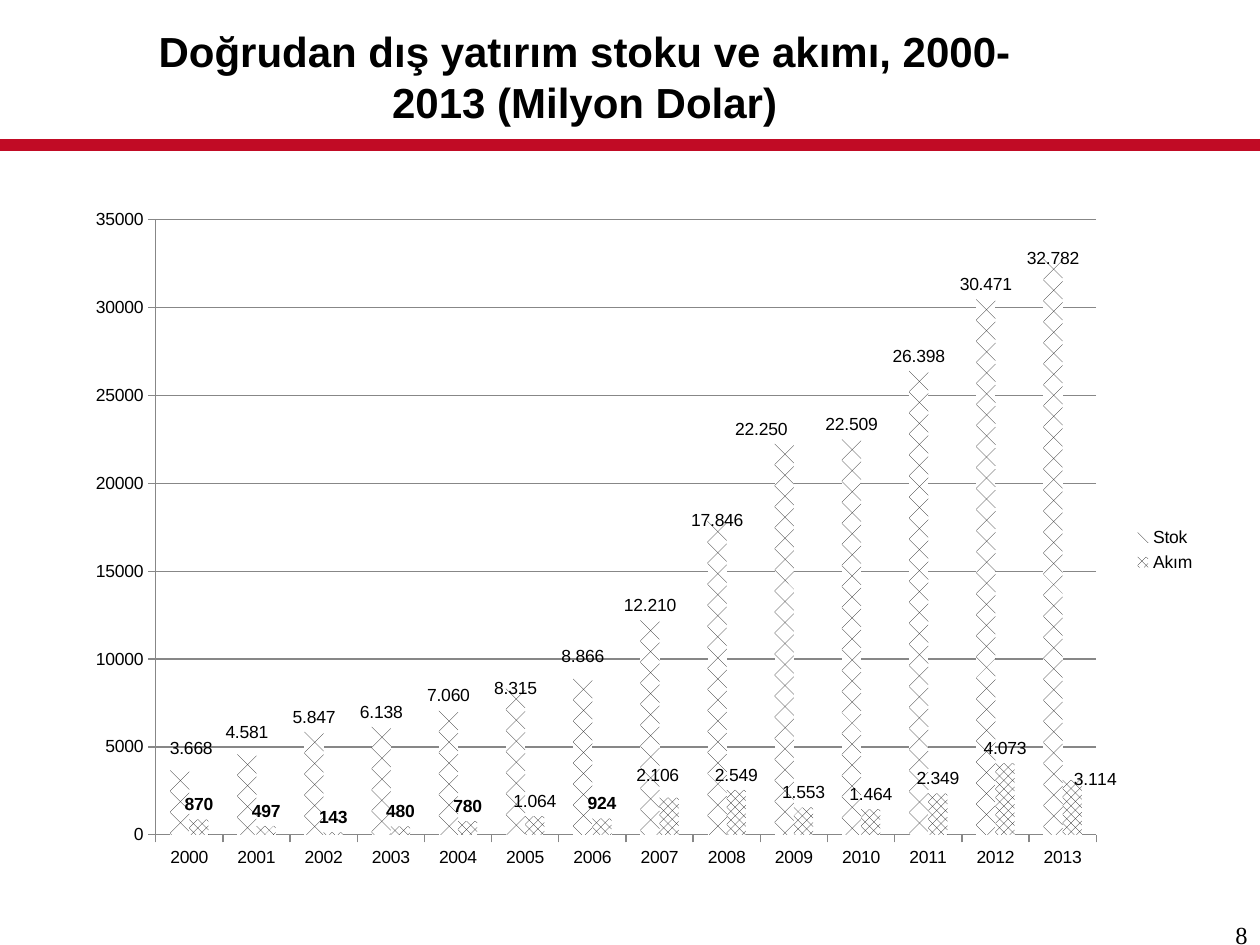
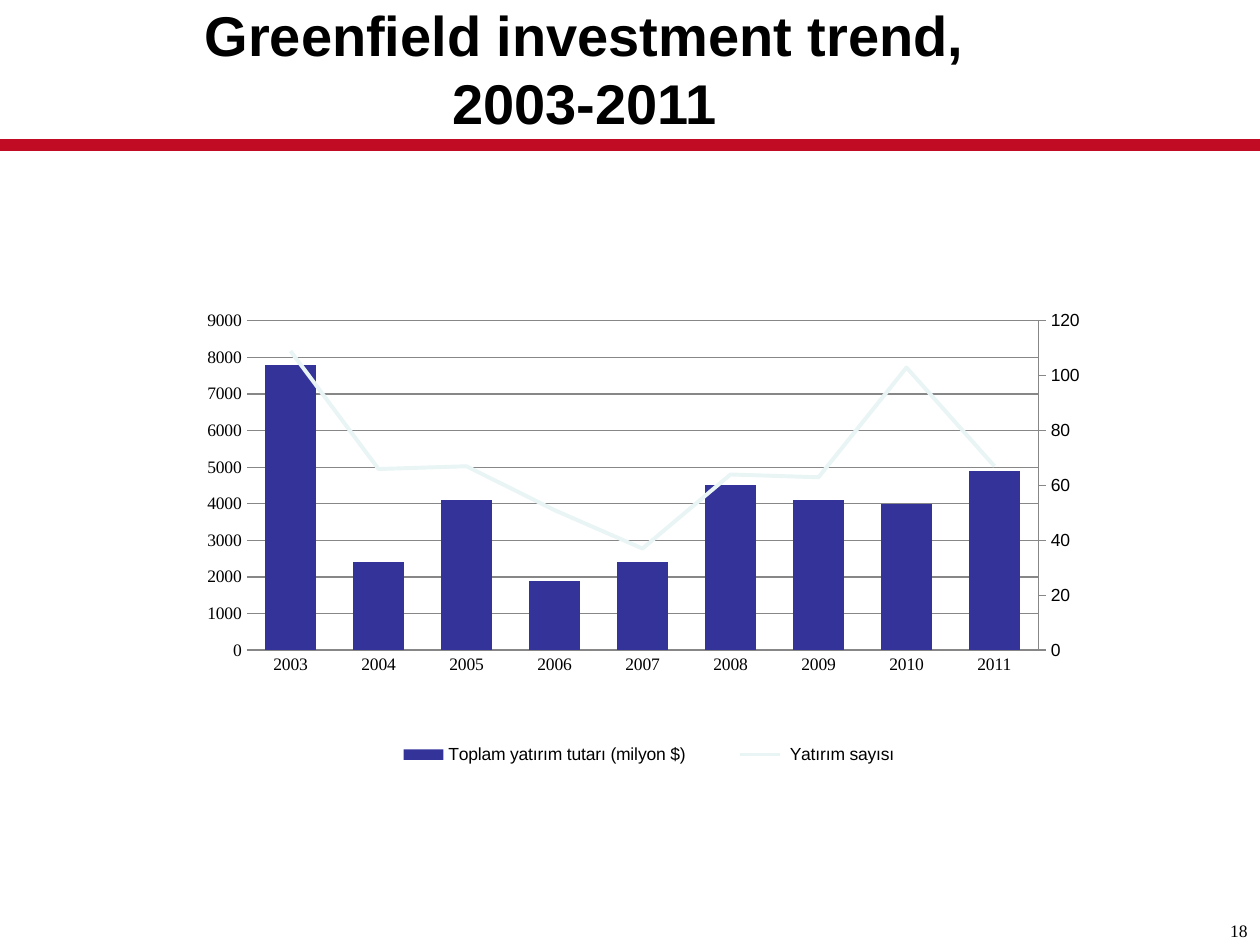
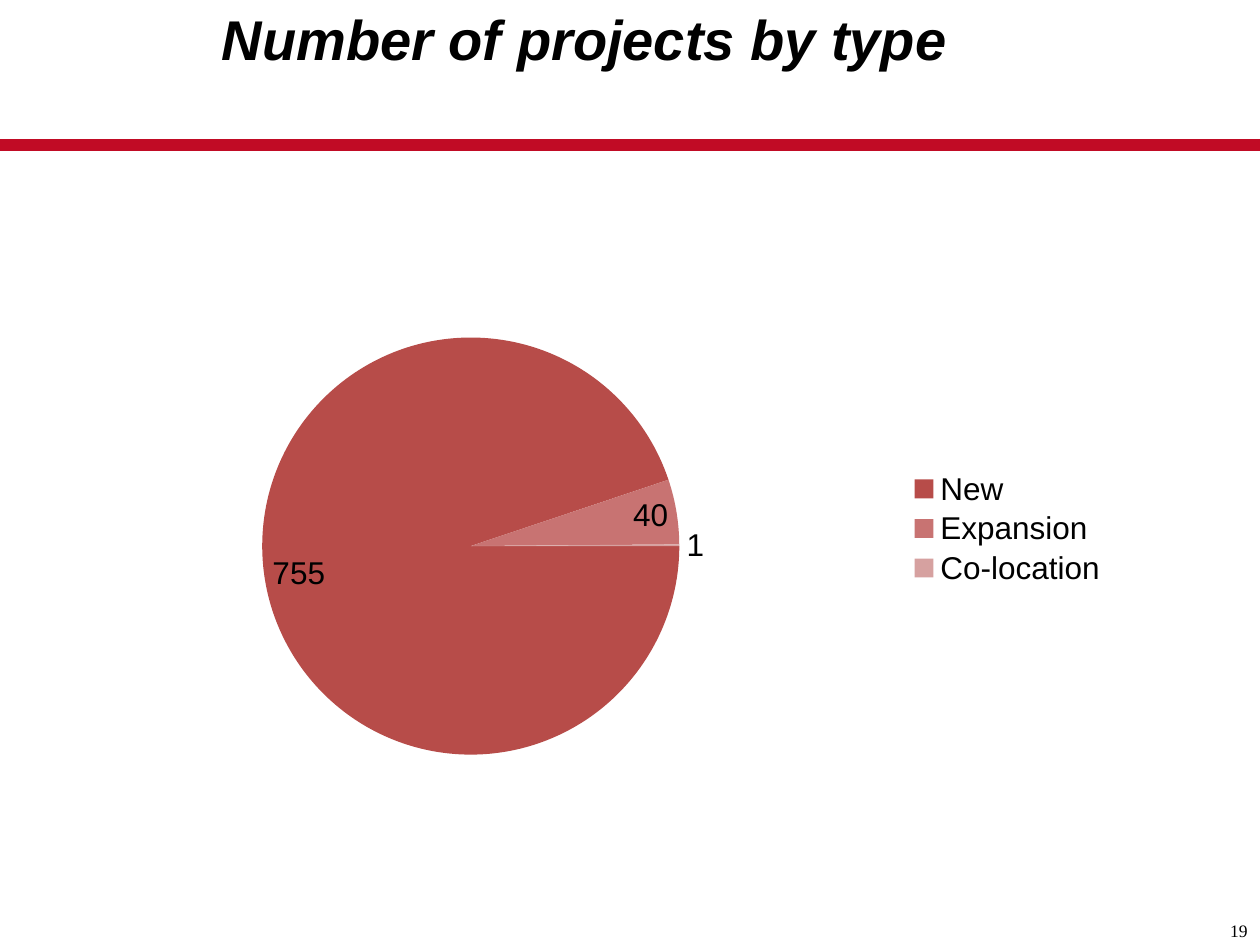
from lxml import etree
from pptx import Presentation
from pptx.chart.data import CategoryChartData
from pptx.dml.color import RGBColor
from pptx.enum.chart import XL_CHART_TYPE, XL_LABEL_POSITION, XL_LEGEND_POSITION, XL_TICK_MARK
from pptx.enum.dml import MSO_PATTERN
from pptx.enum.shapes import MSO_CONNECTOR
from pptx.enum.text import MSO_ANCHOR, MSO_AUTO_SIZE, PP_ALIGN
from pptx.oxml import parse_xml
from pptx.oxml.ns import nsdecls, qn
from pptx.util import Inches, Pt

BLACK = RGBColor(0x00, 0x00, 0x00)
WHITE = RGBColor(0xFF, 0xFF, 0xFF)
PATTERN_INK = RGBColor(0x0D, 0x0D, 0x0D)
BAND_RED = RGBColor(0xC1, 0x0B, 0x25)
AXIS_GREY = RGBColor(0x87, 0x87, 0x87)
BAR_BLUE = RGBColor(0x33, 0x33, 0x99)
LINE_PALE = RGBColor(0xE9, 0xF4, 0xF5)
PIE_REDS = (RGBColor(0xB7, 0x4C, 0x49), RGBColor(0xC8, 0x73, 0x72), RGBColor(0xD6, 0xA1, 0xA0))

SANS = "Arial"
SERIF = "Times New Roman"
SMALL_CHART_BOX = (1.1, 1.98, 7.79, 4.43)

STOCK = (3668, 4581, 5847, 6138, 7060, 8315, 8866, 12210, 17846, 22250, 22509, 26398, 30471, 32782)
FLOW = (870, 497, 143, 480, 780, 1064, 924, 2106, 2549, 1553, 1464, 2349, 4073, 3114)
# Label shifts by point, as fractions of the chart's width and height
STOCK_SHIFTS = {0: (0.01, -0.01), 1: (0, -0.01), 5: (0, 0.02), 6: (0, -0.01),
                8: (0, 0.02), 9: (-0.02, 0), 13: (0, 0.02)}
FLOW_SHIFTS = {7: (-0.01, -0.01), 13: (0.02, 0.02)}
AMOUNTS = (7800, 2400, 4100, 1900, 2400, 4500, 4100, 4000, 4900)
COUNTS = (109, 66, 67, 51, 37, 64, 63, 103, 67)


def write_text(frame, text, *, size, font=SANS, bold=False, italic=False, align=PP_ALIGN.CENTER):
    para = frame.paragraphs[0]
    para.alignment = align
    span = para.add_run()
    span.text = text
    span.font.size = Pt(size)
    span.font.name = font
    span.font.bold = bold
    span.font.italic = italic
    span.font.color.rgb = BLACK


def set_margins(frame, left, top, right, bottom):
    frame.margin_left, frame.margin_top = Inches(left), Inches(top)
    frame.margin_right, frame.margin_bottom = Inches(right), Inches(bottom)


def add_band(page):
    band = page.shapes.add_connector(
        MSO_CONNECTOR.STRAIGHT, Inches(10), Inches(1.15), Inches(0), Inches(1.15))
    band.line.color.rgb = BAND_RED
    band.line.width = Pt(6.5)
    etree.SubElement(band.element.spPr, qn("a:effectLst"))


def add_page(deck, title, number, *, top=0, height=1.08, size=32, italic=False,
             bottom_margin=0.05, number_size=10):
    """Add a slide with its title, red band and page number."""
    page = deck.slides.add_slide(deck.slide_layouts[5])
    add_band(page)
    box = page.shapes.title
    box.left, box.top = Inches(1), Inches(top)
    box.width, box.height = Inches(7.33), Inches(height)
    frame = box.text_frame
    frame.word_wrap = True
    frame.auto_size = MSO_AUTO_SIZE.NONE
    frame.vertical_anchor = MSO_ANCHOR.MIDDLE
    set_margins(frame, 0.05, 0.05, 0.1, bottom_margin)
    write_text(frame, title, size=size, bold=True, italic=italic)

    footer = page.shapes.add_textbox(Inches(9.42), Inches(7.25), Inches(0.58), Inches(0.25))
    footer.text_frame.word_wrap = True
    set_margins(footer.text_frame, 0.1, 0.05, 0.1, 0.05)
    write_text(footer.text_frame, str(number), size=number_size, font=SERIF, align=PP_ALIGN.RIGHT)
    return page


def manual_layout(x, y, width=None, height=None, *, inner=False, edge=True):
    parts = ["<c:layoutTarget val='inner'/>"] if inner else []
    if edge:
        parts.append("<c:xMode val='edge'/><c:yMode val='edge'/>")
    for tag, value in zip("xywh", (x, y, width, height)):
        if value is not None:
            parts.append(f"<c:{tag} val='{value}'/>")
    return parse_xml(f"<c:layout {nsdecls('c')}><c:manualLayout>{''.join(parts)}"
                     "</c:manualLayout></c:layout>")


def add_chart(page, kind, box, categories, series, *, plot, legend, size=10, legend_box=None):
    data = CategoryChartData()
    data.categories = categories
    for name, values in series:
        data.add_series(name, values)
    chart = page.shapes.add_chart(kind, *map(Inches, box), data).chart
    chart.has_title = False
    chart.font.size = Pt(size)
    chart.font.name = SANS
    chart.font.color.rgb = BLACK
    chart.has_legend = True
    chart.legend.position = legend
    chart.legend.include_in_layout = False
    if legend_box:
        position = chart.element.xpath(".//c:legend/c:legendPos")[0]
        for old in chart.element.xpath(".//c:legend/c:layout"):
            old.getparent().remove(old)
        position.addnext(manual_layout(*legend_box))
    area = chart.element.xpath(".//c:plotArea")[0]
    for old in area.xpath("./c:layout"):
        area.remove(old)
    area.insert(0, manual_layout(*plot, inner=True))
    return chart


def style_axes(chart, *, maximum, step, tick):
    for axis in (chart.category_axis, chart.value_axis):
        axis.major_tick_mark = tick
        axis.minor_tick_mark = XL_TICK_MARK.NONE
        axis.format.line.color.rgb = AXIS_GREY
        axis.format.line.width = Pt(0.75)
    scale = chart.value_axis
    scale.minimum_scale, scale.maximum_scale, scale.major_unit = 0, maximum, step
    scale.has_major_gridlines = True
    scale.major_gridlines.format.line.color.rgb = AXIS_GREY
    scale.major_gridlines.format.line.width = Pt(0.75)


def label_points(series, values, shifts, *, bold):
    """Show values, with a dot between thousands, and shift the crowded ones."""
    labels = series.data_labels
    labels.show_value = True
    labels.position = XL_LABEL_POSITION.OUTSIDE_END
    labels.font.size = Pt(10)
    labels.font.bold = bold
    for index, value in enumerate(values):
        if value >= 1000:
            label = series.points[index].data_label
            write_text(label.text_frame, f"{value:,}".replace(",", "."), size=10)
            label.position = XL_LABEL_POSITION.OUTSIDE_END
    for entry in labels._element.xpath("./c:dLbl"):
        number = entry.find(qn("c:idx"))
        shift = shifts.get(int(number.get("val")))
        if shift:
            for old in entry.xpath("./c:layout"):
                entry.remove(old)
            number.addnext(manual_layout(*shift, edge=False))


def add_stock_chart(page, box):
    chart = add_chart(
        page, XL_CHART_TYPE.COLUMN_CLUSTERED, box, [str(year) for year in range(2000, 2014)],
        [("Stok", STOCK), ("Akım", FLOW)],
        plot=(0.088, 0.046, 0.815, 0.846), legend=XL_LEGEND_POSITION.RIGHT)
    style_axes(chart, maximum=35000, step=5000, tick=XL_TICK_MARK.OUTSIDE)
    columns = chart.plots[0]
    columns.gap_width = 150
    columns.overlap = 0
    columns.vary_by_categories = False
    patterns = (MSO_PATTERN.DOTTED_DIAMOND, MSO_PATTERN.PERCENT_50)
    for series, pattern in zip(columns.series, patterns):
        fill = series.format.fill
        fill.patterned()
        fill.pattern = pattern
        fill.fore_color.rgb = PATTERN_INK
        fill.back_color.rgb = WHITE
    stock, flow = columns.series
    label_points(stock, STOCK, STOCK_SHIFTS, bold=False)
    label_points(flow, FLOW, FLOW_SHIFTS, bold=True)


def move_to_right_axis(chart):
    """Turn the second column series into a line on its own right-hand axis."""
    bars = chart.element.xpath(".//c:barChart")[0]
    moved = bars.findall(qn("c:ser"))[1]
    for extra in moved.xpath("./c:invertIfNegative"):
        moved.remove(extra)
    line = parse_xml(
        f"<c:lineChart {nsdecls('c')}><c:grouping val='standard'/><c:varyColors val='0'/>"
        "<c:marker val='1'/><c:axId val='5001'/><c:axId val='5002'/></c:lineChart>")
    line.insert(2, moved)
    bars.addnext(line)
    hidden = parse_xml(
        f"<c:catAx {nsdecls('c')}><c:axId val='5001'/>"
        "<c:scaling><c:orientation val='minMax'/></c:scaling><c:delete val='1'/>"
        "<c:axPos val='b'/><c:crossAx val='5002'/><c:crosses val='autoZero'/></c:catAx>")
    right = parse_xml(
        f"<c:valAx {nsdecls('c', 'a')}><c:axId val='5002'/><c:scaling>"
        "<c:orientation val='minMax'/><c:max val='120'/><c:min val='0'/></c:scaling>"
        "<c:delete val='0'/><c:axPos val='r'/><c:numFmt formatCode='General' sourceLinked='0'/>"
        "<c:majorTickMark val='out'/><c:minorTickMark val='none'/><c:tickLblPos val='nextTo'/>"
        f"<c:spPr><a:ln w='9525'><a:solidFill><a:srgbClr val='{AXIS_GREY}'/></a:solidFill></a:ln>"
        "</c:spPr><c:crossAx val='5001'/><c:crosses val='max'/>"
        "<c:crossBetween val='between'/><c:majorUnit val='20'/></c:valAx>")
    left = chart.element.xpath(".//c:valAx")[0]
    left.addnext(hidden)
    hidden.addnext(right)


def add_greenfield_chart(page, box):
    chart = add_chart(
        page, XL_CHART_TYPE.COLUMN_CLUSTERED, box, [str(year) for year in range(2003, 2012)],
        [("Toplam yatırım tutarı (milyon $)", AMOUNTS), (" Yatırım sayısı", COUNTS)],
        plot=(0.11, 0.128, 0.807, 0.59), legend=XL_LEGEND_POSITION.BOTTOM,
        legend_box=(0.22, 0.87, 0.6, 0.07))
    style_axes(chart, maximum=9000, step=1000, tick=XL_TICK_MARK.NONE)
    chart.value_axis.format.line.fill.background()
    for axis in (chart.category_axis, chart.value_axis):
        axis.tick_labels.font.name = SERIF
        axis.tick_labels.font.size = Pt(10)
    move_to_right_axis(chart)
    columns, line = chart.plots
    columns.gap_width = 75
    columns.vary_by_categories = False
    amount = columns.series[0].format.fill
    amount.solid()
    amount.fore_color.rgb = BAR_BLUE
    count = line.series[0]
    count.smooth = False
    count.format.line.color.rgb = LINE_PALE
    count.format.line.width = Pt(2.25)
    marker = parse_xml(f"<c:marker {nsdecls('c')}><c:symbol val='none'/></c:marker>")
    chart.element.xpath(".//c:lineChart/c:ser/c:spPr")[0].addnext(marker)


def add_project_pie(page, box):
    chart = add_chart(
        page, XL_CHART_TYPE.PIE, box, ["New", "Expansion", "Co-location"],
        [("Series 1", (755, 40, 1))], size=18,
        plot=(0.126, 0.126, 0.425, 0.811), legend=XL_LEGEND_POSITION.RIGHT,
        legend_box=(0.78, 0.39, 0.21, 0.22))
    chart.legend.include_in_layout = True
    pie = chart.plots[0]
    pie.vary_by_categories = True
    series = pie.series[0]
    for index, color in enumerate(PIE_REDS):
        fill = series.points[index].format.fill
        fill.solid()
        fill.fore_color.rgb = color
    series.data_labels.show_value = True
    series.data_labels.show_percentage = False
    series.data_labels.position = XL_LABEL_POSITION.BEST_FIT
    element = chart.element.xpath(".//c:pieChart")[0]
    for old in element.xpath("./c:firstSliceAng"):
        element.remove(old)
    etree.SubElement(element, qn("c:firstSliceAng")).set("val", "90")


def main():
    deck = Presentation()
    deck.slide_width, deck.slide_height = Inches(10), Inches(7.5)

    page = add_page(deck, "Doğrudan dış yatırım stoku ve akımı, 2000-2013 (Milyon Dolar)", 8,
                    top=0.52, height=0.57, size=24, bottom_margin=0.45, number_size=14)
    add_stock_chart(page, (0.43, 1.48, 9.16, 5.77))

    page = add_page(deck, "Greenfield investment trend, 2003-2011", 18)
    add_greenfield_chart(page, SMALL_CHART_BOX)

    page = add_page(deck, "Number of projects by type", 19, italic=True, bottom_margin=0.53)
    add_project_pie(page, SMALL_CHART_BOX)

    deck.save("out.pptx")


if __name__ == "__main__":
    main()
